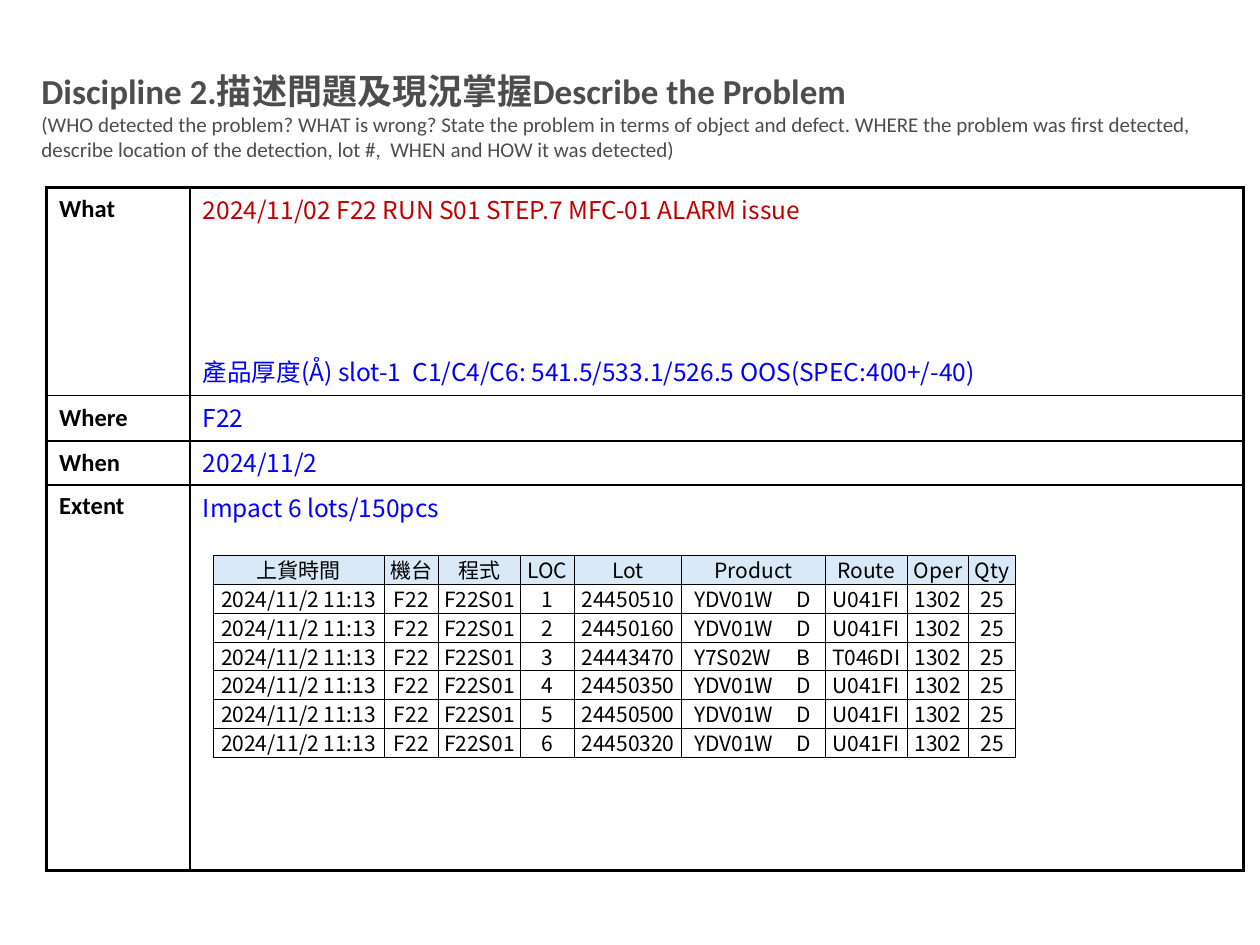
"""Build the Discipline 2 problem description slide."""
from lxml import etree
from pptx import Presentation
from pptx.dml.color import RGBColor
from pptx.enum.text import MSO_ANCHOR, PP_ALIGN
from pptx.oxml.ns import qn
from pptx.util import Inches, Pt

TOP, MIDDLE = MSO_ANCHOR.TOP, MSO_ANCHOR.MIDDLE
LEFT, CENTER = PP_ALIGN.LEFT, PP_ALIGN.CENTER
LATIN, CJK = "Calibri", "Noto Sans CJK SC"
BLACK, GREY, RED, BLUE = "000000", "4D4D4D", "C00000", "0000FF"
HEADER_FILL, BODY_FILL = "DAE9F8", "FFFFFF"
THICK, THIN, HAIRLINE = 2.25, 1, 0.5
CJK_SPACING = 0.9

HEADING = "Discipline 2.描述問題及現況掌握Describe the Problem"
GUIDANCE = (
    "(WHO detected the problem? WHAT is wrong? State the problem in terms of object "
    "and defect. WHERE the problem was first detected, describe location of the "
    "detection, lot #,  WHEN and HOW it was detected)"
)
FACTS = [
    ("What", TOP, 1.65, [
        ("2024/11/02 F22 RUN S01 STEP.7 MFC-01 ALARM issue", RED, 0),
        ("產品厚度(Å) slot-1  C1/C4/C6: 541.5/533.1/526.5 OOS(SPEC:400+/-40)", BLUE, 74),
    ]),
    ("Where", MIDDLE, 0.36, [("F22", BLUE, 0)]),
    ("When", MIDDLE, 0.35, [("2024/11/2", BLUE, 0)]),
    ("Extent", TOP, 3.06, [("Impact 6 lots/150pcs", BLUE, 0)]),
]
FACT_COLUMNS = [1.14, 8.36]

LOT_HEADERS = ["上貨時間", "機台", "程式", "LOC", "Lot", "Product", "Route", "Oper", "Qty"]
LOT_COLUMNS = [1.36, 0.43, 0.65, 0.43, 0.85, 1.14, 0.65, 0.49, 0.37]
LOT_ROW = 1.6 / 7
LOTS = [
    ("24450510", "YDV01W\tD", "U041FI"),
    ("24450160", "YDV01W\tD", "U041FI"),
    ("24443470", "Y7S02W\tB", "T046DI"),
    ("24450350", "YDV01W\tD", "U041FI"),
    ("24450500", "YDV01W\tD", "U041FI"),
    ("24450320", "YDV01W\tD", "U041FI"),
]
PRODUCT_INDENT, GRADE_TAB = 0.1, 0.81


def write(paragraph, text, size, color, font=CJK, bold=False, **layout):
    run = paragraph.add_run()
    run.text = text
    for key, value in {"size": Pt(size), "bold": bold, "name": font}.items():
        setattr(run.font, key, value)
    run.font.color.rgb = RGBColor.from_string(color)
    east_asian = etree.SubElement(run.font._element, qn("a:ea"))
    east_asian.set("typeface", CJK)
    for key, value in layout.items():
        setattr(paragraph, key, value)


def format_cell(cell, anchor, margins, borders, fill=None):
    cell.vertical_anchor = anchor
    for side, margin in zip(("left", "top", "right", "bottom"), margins):
        setattr(cell, f"margin_{side}", Inches(margin))
    properties = cell._tc.get_or_add_tcPr()
    for side, width in zip("LRTB", borders):
        line = etree.SubElement(properties, qn(f"a:ln{side}"), w=str(Pt(width)))
        solid = etree.SubElement(line, qn("a:solidFill"))
        etree.SubElement(solid, qn("a:srgbClr"), val=BLACK)
    if fill:
        cell.fill.solid()
        cell.fill.fore_color.rgb = RGBColor.from_string(fill)
    else:
        cell.fill.background()


def add_grid(slide, left, top, columns, rows):
    box = [Inches(v) for v in (left, top, sum(columns), sum(rows))]
    table = slide.shapes.add_table(len(rows), len(columns), *box).table
    table.first_row = table.horz_banding = False
    for column, width in zip(table.columns, columns):
        column.width = Inches(width)
    for row, height in zip(table.rows, rows):
        row.height = Inches(height)
    return table


def add_heading(slide):
    frame = slide.shapes.add_textbox(*map(Inches, (0.23, 0.5, 9.65, 0.84))).text_frame
    frame.word_wrap = True
    frame.vertical_anchor = MIDDLE
    write(frame.paragraphs[0], HEADING, 20, GREY, LATIN, True)
    write(frame.add_paragraph(), GUIDANCE, 12, GREY, LATIN)


def add_facts(slide):
    table = add_grid(slide, 0.37, 1.49, FACT_COLUMNS, [fact[2] for fact in FACTS])
    for r, (label, anchor, _, answers) in enumerate(FACTS):
        top = THICK if r == 0 else THIN
        bottom = THICK if r == len(FACTS) - 1 else THIN
        label_cell, answer_cell = table.cell(r, 0), table.cell(r, 1)
        for cell, sides in ((label_cell, (THICK, THIN)), (answer_cell, (THIN, THICK))):
            format_cell(cell, anchor, (0.1, 0.05, 0.1, 0.05), (*sides, top, bottom))
        write(label_cell.text_frame.paragraphs[0], label, 14, BLACK, LATIN, True)
        frame = answer_cell.text_frame
        for i, (answer, color, gap) in enumerate(answers):
            paragraph = frame.add_paragraph() if i else frame.paragraphs[0]
            write(paragraph, answer, 14, color,
                  space_before=Pt(gap), line_spacing=CJK_SPACING)


def add_lots(slide):
    rows = [LOT_HEADERS] + [
        ("2024/11/2 11:13", "F22", "F22S01", str(loc), *lot, "1302", "25")
        for loc, lot in enumerate(LOTS, 1)
    ]
    table = add_grid(slide, 1.69, 4.41, LOT_COLUMNS, [LOT_ROW] * len(rows))
    for r, row in enumerate(rows):
        for c, text in enumerate(row):
            cell, tabbed = table.cell(r, c), "\t" in text
            indent = PRODUCT_INDENT if tabbed else 0.01
            format_cell(cell, MIDDLE, (indent, 0.01, 0.01, 0), [HAIRLINE] * 4,
                        BODY_FILL if r else HEADER_FILL)
            paragraph = cell.text_frame.paragraphs[0]
            write(paragraph, text, 12, BLACK, alignment=LEFT if tabbed else CENTER,
                  line_spacing=CJK_SPACING)
            if tabbed:
                stops = etree.SubElement(paragraph._p.get_or_add_pPr(), qn("a:tabLst"))
                etree.SubElement(stops, qn("a:tab"), pos=str(Inches(GRADE_TAB)), algn="l")


def main():
    deck = Presentation()
    deck.slide_width, deck.slide_height = Inches(10), Inches(7.5)
    slide = deck.slides.add_slide(deck.slide_layouts[6])
    add_heading(slide)
    add_facts(slide)
    add_lots(slide)
    deck.save("out.pptx")


if __name__ == "__main__":
    main()
